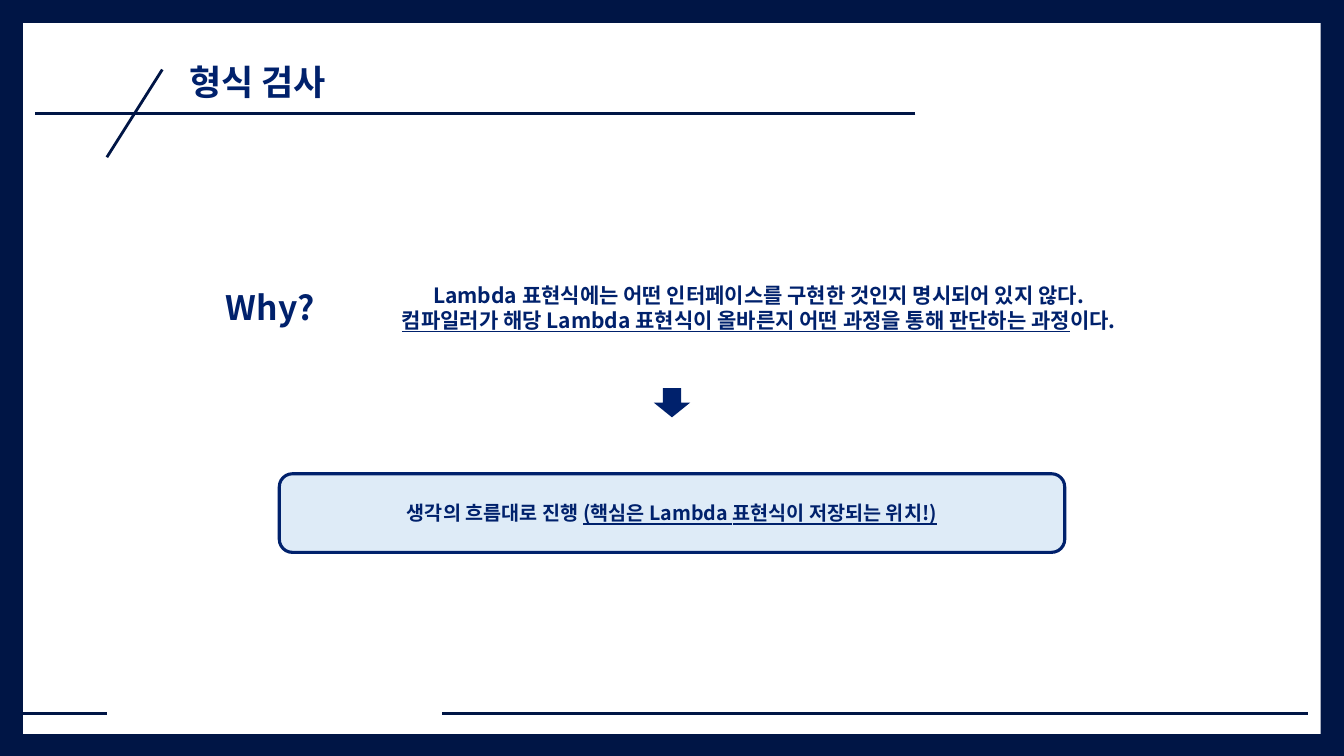
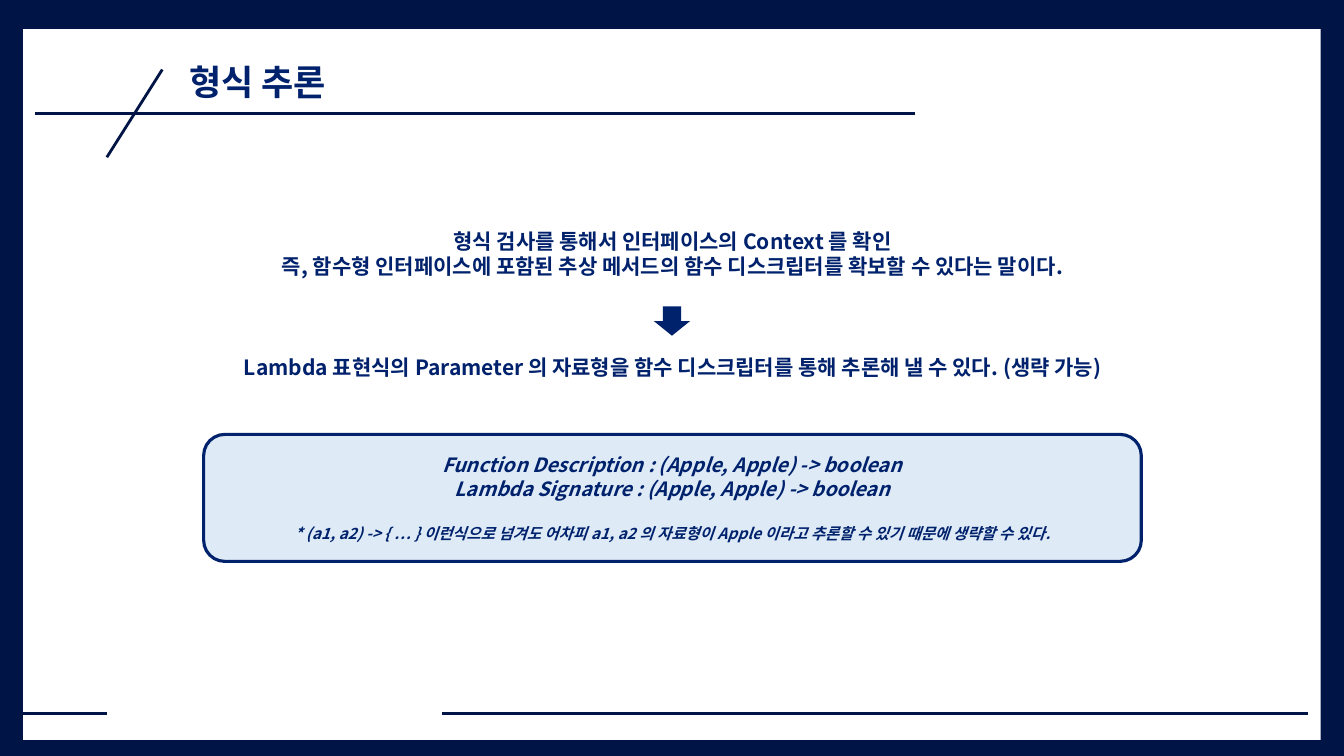
from lxml.etree import SubElement
from pptx import Presentation
from pptx.dml.color import RGBColor
from pptx.enum.shapes import MSO_CONNECTOR as Connector, MSO_SHAPE as Shape
from pptx.enum.text import MSO_ANCHOR as Anchor, MSO_AUTO_SIZE as AutoSize, PP_ALIGN as Align
from pptx.oxml.ns import qn
from pptx.util import Inches, Pt

FONT = "Noto Sans CJK KR"
NAVY = RGBColor(0x00, 0x15, 0x45)
BLUE = RGBColor(0x00, 0x21, 0x6C)
PALE = RGBColor(0xDE, 0xEB, 0xF7)
WHITE = RGBColor(0xFF, 0xFF, 0xFF)
WIDTH, HEIGHT = 13.33, 7.5
FRAME_LINES = [
    (9.08, 1.13, 0.35, 1.13),
    (1.06, 1.56, 1.61, 0.69),
    (12.97, 7.08, 4.38, 7.08),
    (1.06, 7.08, 0.23, 7.08),
]


def style_paragraph(paragraph, size, align=Align.CENTER, italic=None):
    """Apply the bold blue deck font to a whole paragraph."""
    paragraph.alignment = align
    font = paragraph.font
    font.name, font.size, font.bold, font.italic = FONT, Pt(size), True, italic
    font.color.rgb = BLUE
    properties = paragraph._p.find(".//" + qn("a:defRPr"))
    SubElement(properties, qn("a:ea")).set("typeface", FONT)


def write_lines(frame, lines, size, italic=None):
    """Write lines, each a list of (text, underlined) runs, and return the paragraphs."""
    for index, line in enumerate(lines):
        paragraph = frame.add_paragraph() if index else frame.paragraphs[0]
        for text, underlined in line:
            run = paragraph.add_run()
            run.text = text
            if underlined:
                run.font.underline = True
        style_paragraph(paragraph, size, italic=italic)
    return frame.paragraphs


def plain(*texts):
    """Turn texts into lines of one run without underline."""
    return [[(text, False)] for text in texts]


def add_block(slide, kind, box, fill, outline=None):
    """Add a flat preset shape in a box of inches."""
    shape = slide.shapes.add_shape(kind, *map(Inches, box))
    shape.shadow.inherit = False
    shape.fill.solid()
    shape.fill.fore_color.rgb = fill
    if outline is None:
        shape.line.fill.background()
    else:
        shape.line.color.rgb = outline
        shape.line.width = Pt(2.25)
    return shape


def add_line(slide, ends):
    """Draw one straight frame line."""
    line = slide.shapes.add_connector(Connector.STRAIGHT, *map(Inches, ends))
    line.line.color.rgb = NAVY
    line.line.width = Pt(2)
    SubElement(line.element.spPr, qn("a:effectLst"))


def add_text(slide, box, lines, size):
    """Add centred text that keeps its own line breaks."""
    frame = slide.shapes.add_textbox(*map(Inches, box)).text_frame
    frame.word_wrap = False
    write_lines(frame, lines, size)


def add_down_arrow(slide, top):
    """Add the arrow on the slide's centre line."""
    width, height = 0.36, 0.29
    add_block(slide, Shape.DOWN_ARROW, ((WIDTH - width) / 2, top, width, height), BLUE)


def add_callout(slide, box, lines, italic=None):
    """Add the pale rounded box with its text."""
    callout = add_block(slide, Shape.ROUNDED_RECTANGLE, box, PALE, BLUE)
    frame = callout.text_frame
    frame.vertical_anchor = Anchor.MIDDLE
    return write_lines(frame, lines, 14, italic)


def add_framed_slide(presentation, title_text, panel_top):
    """Add a slide with the navy border, white panel, frame lines and title."""
    slide = presentation.slides.add_slide(presentation.slide_layouts[5])
    slide.background.fill.solid()
    slide.background.fill.fore_color.rgb = NAVY
    title = slide.shapes.title
    panel = add_block(slide, Shape.RECTANGLE, (0.23, panel_top, 12.87, 7.05), WHITE)
    title.element.addprevious(panel.element)
    for ends in FRAME_LINES:
        add_line(slide, ends)
    title.left, title.top, title.width, title.height = map(Inches, (1.78, 0.55, 1.72, 0.52))
    frame = title.text_frame
    frame.text = title_text
    frame.word_wrap = False
    frame.auto_size = AutoSize.NONE
    frame.vertical_anchor = Anchor.TOP
    style_paragraph(frame.paragraphs[0], 25, Align.LEFT)
    return slide


def build_type_check(presentation):
    """Build the type checking slide."""
    slide = add_framed_slide(presentation, "형식 검사", 0.23)
    reason = plain("Lambda 표현식에는 어떤 인터페이스를 구현한 것인지 명시되어 있지 않다.")
    reason.append([
        ("컴파일러가 해당 Lambda 표현식이 올바른지 어떤 과정을 통해 판단하는 과정", True),
        ("이다.", False),
    ])
    add_text(slide, (3.56, 2.75, 7.93, 0.61), reason, 15)
    add_text(slide, (2.14, 2.8, 1.08, 0.5), plain("Why?"), 24)
    add_down_arrow(slide, 3.85)
    add_callout(slide, (2.77, 4.7, 7.79, 0.78), [[
        ("생각의 흐름대로 진행 ", False),
        ("(핵심은 Lambda 표현식이 저장되는 위치!)", True),
    ]])


def build_type_inference(presentation):
    """Build the type inference slide."""
    slide = add_framed_slide(presentation, "형식 추론", 0.29)
    add_text(slide, (2.23, 2.22, 8.88, 0.61), plain(
        "형식 검사를 통해서 인터페이스의 Context 를 확인",
        "즉, 함수형 인터페이스에 포함된 추상 메서드의 함수 디스크립터를 확보할 수 있다는 말이다.",
    ), 15)
    add_down_arrow(slide, 3.04)
    add_text(slide, (1.97, 3.47, 9.4, 0.35), plain(
        "Lambda 표현식의 Parameter 의 자료형을 함수 디스크립터를 통해 추론해 낼 수 있다. (생략 가능)",
    ), 15)
    paragraphs = add_callout(slide, (2.02, 4.31, 9.3, 1.26), plain(
        "Function Description : (Apple, Apple) -> boolean",
        "Lambda Signature : (Apple, Apple) -> boolean",
        "* (a1, a2) -> { … } 이런식으로 넘겨도 어차피 a1, a2 의 자료형이 Apple 이라고 "
        "추론할 수 있기 때문에 생략할 수 있다.",
    ), italic=True)
    note = paragraphs[-1]
    note.font.size = Pt(11)
    note.space_before = Pt(17)


def main():
    """Build and save the presentation."""
    presentation = Presentation()
    presentation.slide_width = Inches(WIDTH)
    presentation.slide_height = Inches(HEIGHT)
    build_type_check(presentation)
    build_type_inference(presentation)
    presentation.save("out.pptx")


if __name__ == "__main__":
    main()
